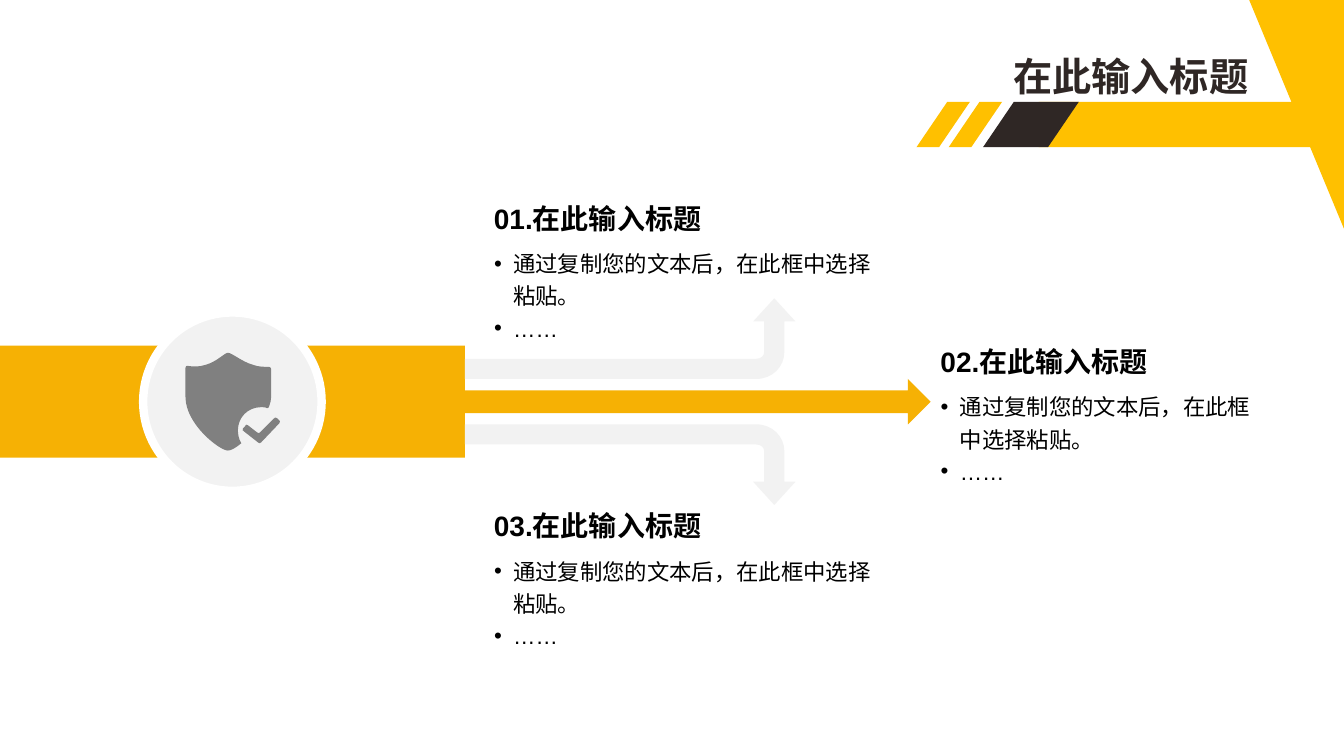
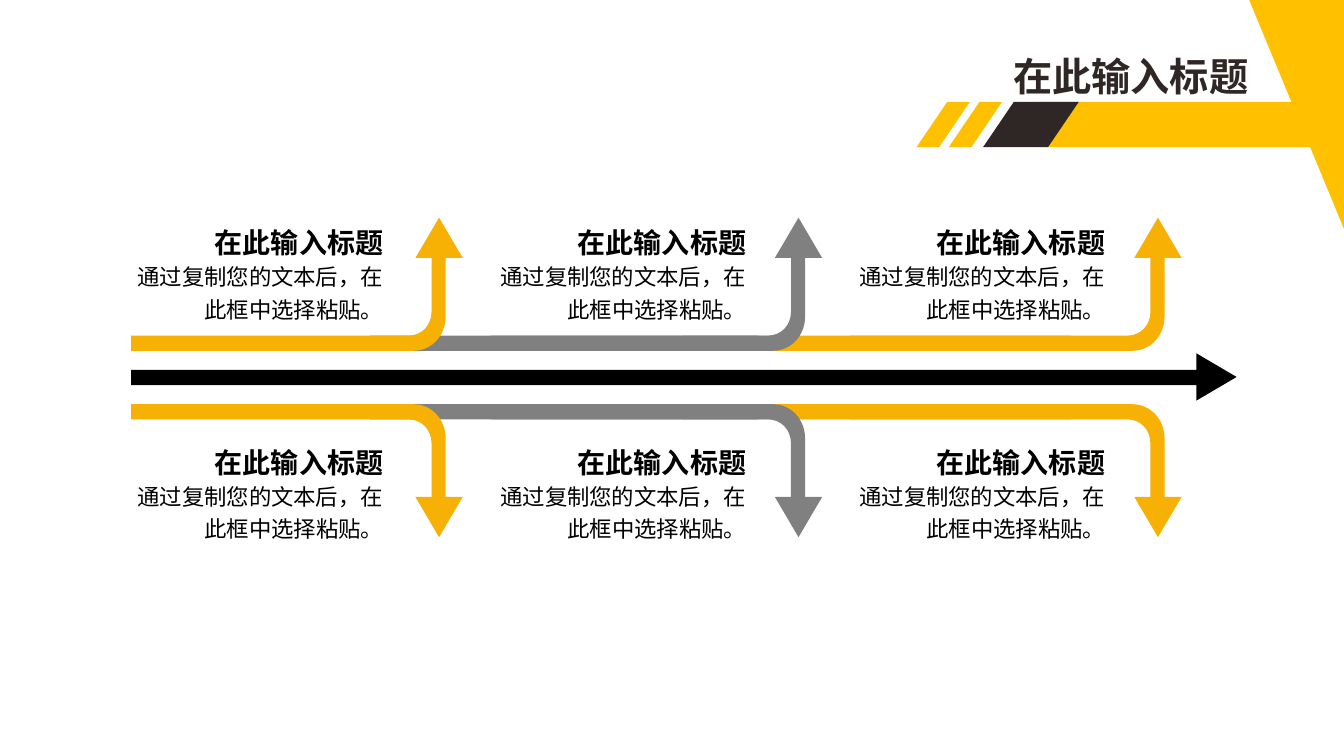
"""Build two arrow-diagram slides that share a yellow title band."""
import copy
from dataclasses import dataclass

from lxml import etree
from pptx import Presentation
from pptx.dml.color import RGBColor
from pptx.enum import lang, shapes, text
from pptx.oxml.ns import qn
from pptx.util import Inches, Pt


@dataclass(frozen=True)
class Theme:
    font: str = "Arial"
    yellow: str = "FFC000"
    amber: str = "F6B104"
    dark: str = "2F2725"
    grey: str = "808080"
    pale: str = "F2F2F2"
    black: str = "000000"
    white: str = "FFFFFF"
    title_size: int = 28
    heading_size: int = 20
    body_size: int = 16


THEME = Theme()
PRESET = shapes.MSO_SHAPE
RIGHT = text.PP_ALIGN.RIGHT

TITLE = "在此输入标题"
BODY = "通过复制您的文本后，在此框中选择粘贴。"

POINTS = [
    {"heading": "01.在此输入标题", "lines": [BODY, "……"], "box": (4.8, 1.96, 4.09, 0.58)},
    {"heading": "02.在此输入标题", "lines": [BODY, "……"], "box": (9.23, 3.38, 3.36, 0.79),
     "backing": THEME.white},
    {"heading": "03.在此输入标题", "lines": [BODY, "……"], "box": (4.8, 5.01, 4.09, 0.58)},
]

STAGES = [
    {"heading": TITLE, "body": BODY, "left": 1.06, "color": THEME.amber},
    {"heading": TITLE, "body": BODY, "left": 4.66, "color": THEME.grey, "bar": 3.67},
    {"heading": TITLE, "body": BODY, "left": 8.22, "color": THEME.amber, "bar": 6.77},
]
STAGE_ROWS = (2.19, 4.37)
FIRST_STEM, STEM_STEP = 4.42, 3.565
TIMELINE_AXIS, BRANCH_AXIS = 3.745, 3.985

BAND = [
    (PRESET.RECTANGLE, 10.3, 2.81, THEME.yellow),
    (PRESET.PARALLELOGRAM, 9.75, 0.95, THEME.dark),
    (PRESET.PARALLELOGRAM, 9.41, 0.53, THEME.yellow),
    (PRESET.PARALLELOGRAM, 9.09, 0.53, THEME.yellow),
]

BRANCH = [[
    (7.68, 2.96), (7.89, 3.19), (7.78, 3.19), (7.78, 3.49),
    (7.78, 3.64, 7.66, 3.76, 7.5, 3.76), (4.61, 3.76), (4.61, 3.66), (4.61, 3.56),
    (7.5, 3.56), (7.55, 3.56, 7.58, 3.53, 7.58, 3.49), (7.58, 3.19), (7.47, 3.19),
]]

CHECK = [
    (2.72, 4.15), (2.72, 4.14, 2.74, 4.14, 2.75, 4.15), (2.77, 4.17),
    (2.78, 4.17, 2.78, 4.19, 2.77, 4.2), (2.59, 4.39),
    (2.58, 4.4, 2.57, 4.4, 2.56, 4.39), (2.42, 4.28),
    (2.41, 4.28, 2.4, 4.26, 2.41, 4.25), (2.43, 4.23),
    (2.43, 4.21, 2.45, 4.21, 2.46, 4.22), (2.55, 4.29),
    (2.56, 4.3, 2.57, 4.3, 2.58, 4.29), (2.72, 4.15),
]
SHIELD = [
    (2.26, 3.5), (2.3, 3.5, 2.4, 3.59, 2.51, 3.62),
    (2.56, 3.64, 2.62, 3.64, 2.66, 3.64), (2.67, 3.64, 2.69, 3.64, 2.69, 3.66),
    (2.69, 3.94), (2.69, 3.97, 2.68, 4, 2.67, 4.03),
    (2.67, 4.04, 2.66, 4.05, 2.65, 4.05), (2.64, 4.04, 2.62, 4.04, 2.59, 4.04),
    (2.46, 4.04, 2.36, 4.14, 2.36, 4.27), (2.36, 4.31, 2.37, 4.36, 2.39, 4.39),
    (2.39, 4.4, 2.4, 4.4, 2.39, 4.4), (2.33, 4.45, 2.29, 4.47, 2.26, 4.47),
    (2.18, 4.47, 1.84, 4.21, 1.84, 3.94), (1.84, 3.65),
    (1.84, 3.63, 1.85, 3.63, 1.86, 3.63), (1.92, 3.64, 1.98, 3.64, 2.04, 3.62),
    (2.15, 3.59, 2.23, 3.5, 2.26, 3.5),
]


def rgb(color):
    return RGBColor.from_string(color)


def place(shape, left, top, width, height):
    shape.left, shape.top = Inches(left), Inches(top)
    shape.width, shape.height = Inches(width), Inches(height)
    return shape


def write(shape, lines, size=THEME.body_size, color=THEME.black, bold=False,
          align=text.PP_ALIGN.LEFT, anchor=text.MSO_ANCHOR.TOP, spacing=1.0, bullets=False):
    frame = shape.text_frame
    frame.word_wrap = True
    frame.auto_size = text.MSO_AUTO_SIZE.NONE
    frame.vertical_anchor = anchor
    for number, line in enumerate(lines):
        paragraph = frame.paragraphs[0] if number == 0 else frame.add_paragraph()
        paragraph.alignment = align
        paragraph.line_spacing = spacing
        paragraph.space_before = Pt(0)
        if bullets:
            properties = paragraph._p.get_or_add_pPr()
            properties.set("marL", str(Inches(0.19)))
            properties.set("indent", str(-Inches(0.19)))
        run = paragraph.add_run()
        run.text = line
        run.font.name, run.font.size, run.font.bold = THEME.font, Pt(size), bold
        run.font.color.rgb = rgb(color)
        run.font.language_id = lang.MSO_LANGUAGE_ID.SIMPLIFIED_CHINESE


def add_label(slide, box, line, **style):
    write(slide.shapes.add_textbox(*map(Inches, box)), [line], **style)


def paint(shape, color):
    shape.shadow.inherit = False
    shape.fill.solid()
    shape.fill.fore_color.rgb = rgb(color)
    shape.line.fill.background()
    return shape


def add_preset(slide, kind, box, color, adjustments=(), flips=()):
    shape = paint(slide.shapes.add_shape(kind, *map(Inches, box)), color)
    for index, value in enumerate(adjustments):
        shape.adjustments[index] = value
    for flip in flips:
        shape._element.spPr.xfrm.set(flip, "1")
    return shape


def in_frame(contours, mirror, turn):
    """Give each part's points in EMU, in the frame before it is turned."""
    ends = [part[-2:] for contour in contours for part in contour]
    center_x, center_y = ((min(axis) + max(axis)) / 2 for axis in zip(*ends))
    if mirror is not None:
        center_y = 2 * mirror - center_y

    def convert(x, y):
        y = y if mirror is None else 2 * mirror - y
        if turn:
            side = 1 if turn == 90 else -1
            x, y = center_x + side * (y - center_y), center_y - side * (x - center_x)
        return Inches(x), Inches(y)

    return [[[convert(*part[i:i + 2]) for i in range(0, len(part), 2)] for part in contour]
            for contour in contours]


def add_outline(slide, contours, color, mirror=None, turn=0):
    """Draw closed contours of corners and cubic curves."""
    contours = in_frame(contours, mirror, turn)
    builder = slide.shapes.build_freeform(*contours[0][0][-1], scale=1.0)
    for contour in contours:
        builder.add_line_segments([part[-1] for part in contour], close=False)
    shape = paint(builder.convert_to_shape(), color)

    outline = shape._element.xpath(".//a:pathLst/a:path")[0]
    for command in list(outline):
        outline.remove(command)
    for contour in contours:
        for number, part in enumerate(contour):
            tag = "a:moveTo" if number == 0 else "a:lnTo" if len(part) == 1 else "a:cubicBezTo"
            command = etree.SubElement(outline, qn(tag))
            for x, y in part:
                etree.SubElement(command, qn("a:pt"),
                                 x=str(x - shape.left), y=str(y - shape.top))
        etree.SubElement(outline, qn("a:close"))
    shape.rotation = turn
    return shape


def bar(left, right, top, bottom):
    return [[(left, top), (right, top), (right, bottom), (left, bottom), (left, top)]]


def bend(stem):
    return [[
        (stem, 3.14), (stem, 2.56), (stem - 0.14, 2.56), (stem - 0.14, 3.09),
        (stem - 0.14, 3.23, stem - 0.24, 3.33, stem - 0.37, 3.33), (stem - 3.12, 3.33),
        (stem - 3.12, 3.48), (stem - 3.11, 3.48), (stem - 0.32, 3.48),
        (stem - 0.14, 3.48, stem, 3.33, stem, 3.14),
    ]]


def add_header(slide):
    add_preset(slide, PRESET.RIGHT_TRIANGLE, (12.39, 0, 0.94, 2.27), THEME.yellow,
               flips=("flipH", "flipV"))
    for kind, left, width, color in BAND:
        slant = (0.679,) if kind == PRESET.PARALLELOGRAM else ()
        add_preset(slide, kind, (left, 1.01, width, 0.45), color, slant)
    write(place(slide.shapes.title, 9.87, 0.47, 2.61, 0.57), [TITLE],
          size=THEME.title_size, color=THEME.dark, bold=True, align=RIGHT)


def three_list_layout(prs):
    layout = prs.slide_layouts[3]
    third = copy.deepcopy(layout.placeholders[2]._element)
    third.xpath(".//p:cNvPr")[0].set("id", "20")
    third.xpath(".//p:ph")[0].set("idx", "20")
    layout.shapes._spTree.append(third)
    return layout


def build_branches(prs):
    slide = prs.slides.add_slide(three_list_layout(prs))
    add_preset(slide, PRESET.RECTANGLE, (0, 3.43, 4.61, 1.11), THEME.amber)
    add_preset(slide, PRESET.RIGHT_ARROW, (4.61, 3.76, 4.62, 0.45), THEME.amber)
    for mirror in (None, BRANCH_AXIS):
        add_outline(slide, BRANCH, THEME.pale, mirror)
    badge = add_preset(slide, PRESET.OVAL, (1.42, 3.1, 1.77, 1.77), THEME.pale)
    badge.line.color.rgb = rgb(THEME.white)
    badge.line.width = Pt(6)
    add_outline(slide, [CHECK, SHIELD], THEME.grey)

    lists = [holder for holder in slide.placeholders if holder.placeholder_format.idx]
    heading_style = {"size": THEME.heading_size, "bold": True,
                     "anchor": text.MSO_ANCHOR.BOTTOM}
    for point, holder in zip(POINTS, lists):
        left, top, width, height = point["box"]
        heading_box = (left, top, width, 0.42)
        write(place(holder, left, top + 0.42, width, height), point["lines"],
              spacing=1.2, bullets=True)
        if "backing" in point:
            backing = add_preset(slide, PRESET.RECTANGLE, heading_box, point["backing"])
            write(backing, [point["heading"]], spacing=0.9, **heading_style)
        else:
            add_label(slide, heading_box, point["heading"], **heading_style)
    add_header(slide)


def build_timeline(prs):
    slide = prs.slides.add_slide(prs.slide_layouts[5])
    for index, stage in reversed(list(enumerate(STAGES))):
        stem, color = FIRST_STEM + index * STEM_STEP, stage["color"]
        for mirror, turn, head_top, flips in ((TIMELINE_AXIS, 270, 4.93, ("flipV",)),
                                              (None, 90, 2.16, ())):
            if "bar" in stage:
                strip = bar(stage["bar"], stage["bar"] + 3.85, 3.33, 3.48)
                add_outline(slide, strip, color, mirror)
            add_outline(slide, bend(stem), color, mirror, turn)
            add_preset(slide, PRESET.ISOSCELES_TRIANGLE, (stem - 0.3, head_top, 0.47, 0.4),
                       color, flips=flips)
    add_outline(slide, bar(1.3, 11.87, 3.67, 3.82), THEME.black)
    add_preset(slide, PRESET.ISOSCELES_TRIANGLE, (11.83, 3.54, 0.47, 0.4),
               THEME.black).rotation = 90

    for stage in STAGES:
        for top in STAGE_ROWS:
            add_label(slide, (stage["left"], top + 0.35, 2.84, 0.68), stage["body"],
                      align=RIGHT, anchor=text.MSO_ANCHOR.MIDDLE, spacing=1.2)
            add_label(slide, (stage["left"], top, 2.84, 0.28), stage["heading"],
                      size=THEME.heading_size, bold=True, align=RIGHT)
    add_header(slide)


def main():
    prs = Presentation()
    prs.slide_width, prs.slide_height = Inches(13.33), Inches(7.5)
    build_branches(prs)
    build_timeline(prs)
    prs.save("out.pptx")


if __name__ == "__main__":
    main()
